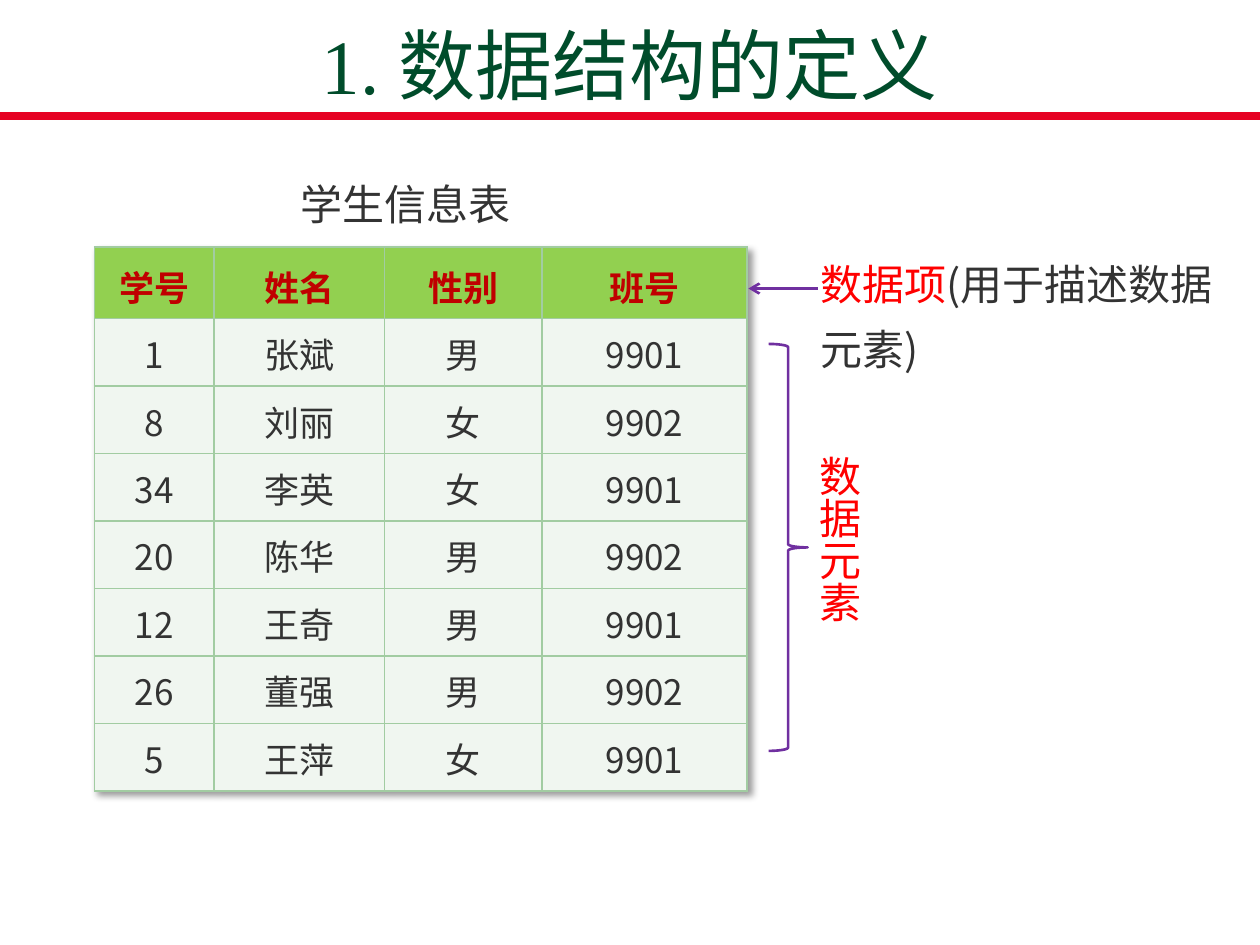
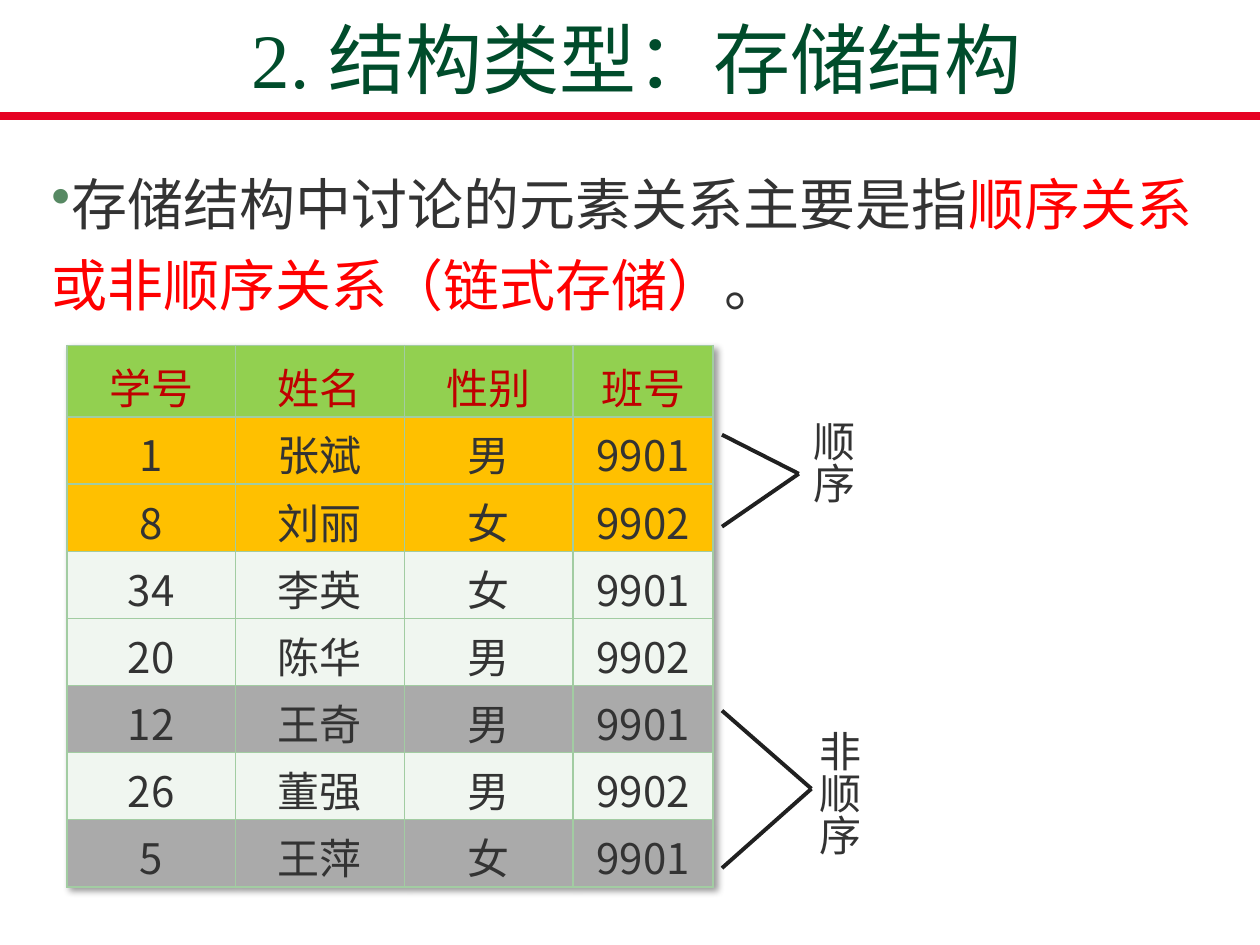
import pptx
import pptx.util
import pptx.dml.color
import pptx.enum.shapes
import pptx.enum.text
import pptx.oxml
from pptx.oxml.ns import nsdecls, qn
from lxml import etree

RGB = pptx.dml.color.RGBColor
GREEN = RGB(0x00, 0x4C, 0x2B)
BAND = RGB(0xE6, 0x02, 0x23)
INK = RGB(0x33, 0x33, 0x33)
RED = RGB(0xFF, 0x00, 0x00)
WINE = RGB(0xC0, 0x00, 0x00)
LIME = RGB(0x92, 0xD0, 0x50)
PALE = RGB(0xF0, 0xF6, 0xF0)
GOLD = RGB(0xFF, 0xC0, 0x00)
GRAY = RGB(0xAA, 0xAA, 0xAA)
EDGE = RGB(0xA2, 0xCC, 0xA2)
PURPLE = RGB(0x70, 0x30, 0xA0)
BLACK = RGB(0x20, 0x20, 0x20)
MOSS = RGB(0x57, 0x89, 0x63)

SANS = "Noto Sans CJK SC"
SERIF = "Times New Roman"
WIDE, HIGH = 10, 7.5
RULE = 0.92
HEAD = 0.57

ROWS = [
    ("学号", "姓名", "性别", "班号"),
    ("1", "张斌", "男", "9901"),
    ("8", "刘丽", "女", "9902"),
    ("34", "李英", "女", "9901"),
    ("20", "陈华", "男", "9902"),
    ("12", "王奇", "男", "9901"),
    ("26", "董强", "男", "9902"),
    ("5", "王萍", "女", "9901"),
]
ITEMS = dict(at=(0.75, 1.96), cols=(0.95, 1.35, 1.25, 1.63), high=4.32,
             size=20, bold=True, base=0.06, tints={})
STORE = dict(at=(0.53, 2.74), cols=(1.34, 1.34, 1.34, 1.11), high=4.3,
             size=24, bold=False, base=0,
             tints={1: GOLD, 2: GOLD, 5: GRAY, 7: GRAY})
TERM = [("数据项", RED), ("(用于描述数据元素)", INK)]
POINT = [("存储结构中讨论的元素关系主要是指", INK),
         ("顺序关系或非顺序关系（链式存储）", RED), ("。", INK)]
WEDGES = [(6.34, 3.45, 3.76, 4.18), (6.44, 5.64, 6.26, 6.89)]
WEDGE_X = 5.73

inch = pptx.util.Inches
point = pptx.util.Pt
Align = pptx.enum.text.PP_ALIGN
Anchor = pptx.enum.text.MSO_ANCHOR


def style(para, size, face, color=None, center=False, bold=False):
    font = para.font
    font.size, font.name, font.bold = point(size), face, bold
    if color is not None:
        font.color.rgb = color
    font._element.find(qn("a:latin")).addnext(
        pptx.oxml.parse_xml(f'<a:ea {nsdecls("a")} typeface="{SANS}"/>'))
    para.alignment = Align.CENTER if center else Align.LEFT


def write(slide, at, runs, size=24, face=SANS, gap=1.3, center=False,
          tall=False, bullet=None, anchor=Anchor.TOP):
    box = slide.shapes.add_textbox(*map(inch, at))
    frame = box.text_frame
    frame.word_wrap = True
    frame.vertical_anchor = anchor
    if tall:
        frame._txBody.bodyPr.set("vert", "eaVert")
    para = frame.paragraphs[0]
    para.line_spacing = gap
    if bullet:
        props = para._p.get_or_add_pPr()
        tint = etree.SubElement(props, qn("a:buClr"))
        etree.SubElement(tint, qn("a:srgbClr"), val=str(MOSS))
        etree.SubElement(props, qn("a:buChar"), char=bullet)
    style(para, size, face, runs[0][1] if len(runs) == 1 else None, center)
    for text, color in runs:
        run = para.add_run()
        run.text = text
        if len(runs) > 1:
            run.font.color.rgb = color


def draw(slide, start, end, color, width, arrow=False):
    line = slide.shapes.add_connector(
        pptx.enum.shapes.MSO_CONNECTOR.STRAIGHT, *map(inch, start + end))
    line.line.color.rgb = color
    line.line.width = point(width)
    if arrow:
        etree.SubElement(line.line._get_or_add_ln(), qn("a:tailEnd"), type="arrow")
    etree.SubElement(line._element.spPr, qn("a:effectLst"))


def begin(deck, title, at):
    slide = deck.slides.add_slide(deck.slide_layouts[6])
    draw(slide, (0, RULE), (WIDE, RULE), BAND, 4.5)
    write(slide, at, [(title, GREEN)], 44, SERIF, 1, True, anchor=Anchor.MIDDLE)
    return slide


def frame_cell(cell):
    props = cell._tc.get_or_add_tcPr()
    for side in "LRTB":
        props.append(pptx.oxml.parse_xml(
            f'<a:ln{side} {nsdecls("a")} w="12700"><a:solidFill>'
            f'<a:srgbClr val="{EDGE}"/></a:solidFill></a:ln{side}>'))


def tabulate(slide, at, cols, high, size, bold, base, tints):
    grid = slide.shapes.add_table(
        len(ROWS), len(cols), *map(inch, (*at, sum(cols), high))).table
    grid.horz_banding = False
    grid._tbl.tblPr.insert(0, pptx.oxml.parse_xml(
        f'<a:effectLst {nsdecls("a")}><a:outerShdw blurRad="50800" dist="38100" '
        'dir="2700000" algn="tl"><a:srgbClr val="000000"><a:alpha val="40000"/>'
        '</a:srgbClr></a:outerShdw></a:effectLst>'))
    for col, width in zip(grid.columns, cols):
        col.width = inch(width)
    for i, row in enumerate(ROWS):
        top = i == 0
        grid.rows[i].height = inch(HEAD if top else (high - HEAD) / (len(ROWS) - 1))
        for j, text in enumerate(row):
            cell = grid.cell(i, j)
            cell.text = text
            cell.margin_top, cell.margin_bottom = inch(0.04), inch(base)
            cell.vertical_anchor = Anchor.BOTTOM
            frame_cell(cell)
            cell.fill.solid()
            cell.fill.fore_color.rgb = LIME if top else tints.get(i, PALE)
            style(cell.text_frame.paragraphs[0], size, SANS,
                  WINE if top else INK, True, bold and top)


def define(deck):
    slide = begin(deck, "1. 数据结构的定义", (0.75, 0.17, 8.5, 0.67))
    tabulate(slide, **ITEMS)
    write(slide, (2.08, 1.25, 2.27, 0.62), [("学生信息表", INK)], center=True)
    draw(slide, (6.49, 2.29), (5.94, 2.29), PURPLE, 1.5, True)
    write(slide, (6.41, 1.88, 3.49, 1.15), TERM)
    brace = slide.shapes.add_shape(
        pptx.enum.shapes.MSO_SHAPE.RIGHT_BRACE, *map(inch, (6.1, 2.73, 0.31, 3.23)))
    brace.shadow.inherit = False
    brace.fill.background()
    brace.line.color.rgb = PURPLE
    brace.line.width = point(1.5)
    write(slide, (6.31, 3.52, 0.72, 1.56), [("数据元素", RED)], tall=True)


def store(deck):
    slide = begin(deck, "2. 结构类型：存储结构", (0.12, 0.17, 9.87, 0.58))
    write(slide, (0.31, 1.19, 9.38, 1.39), POINT, 32, SERIF, 1.2, bullet="•")
    tabulate(slide, **STORE)
    write(slide, (6.26, 3.24, 0.72, 1.04), [("顺序", INK)], center=True, tall=True)
    write(slide, (6.31, 5.7, 0.72, 1.35), [("非顺序", INK)], tall=True)
    for tip, top, mid, low in WEDGES:
        for y in (top, low):
            draw(slide, (WEDGE_X, y), (tip, mid), BLACK, 2.25)


def main():
    deck = pptx.Presentation()
    deck.slide_width, deck.slide_height = inch(WIDE), inch(HIGH)
    define(deck)
    store(deck)
    deck.save("out.pptx")


if __name__ == "__main__":
    main()
